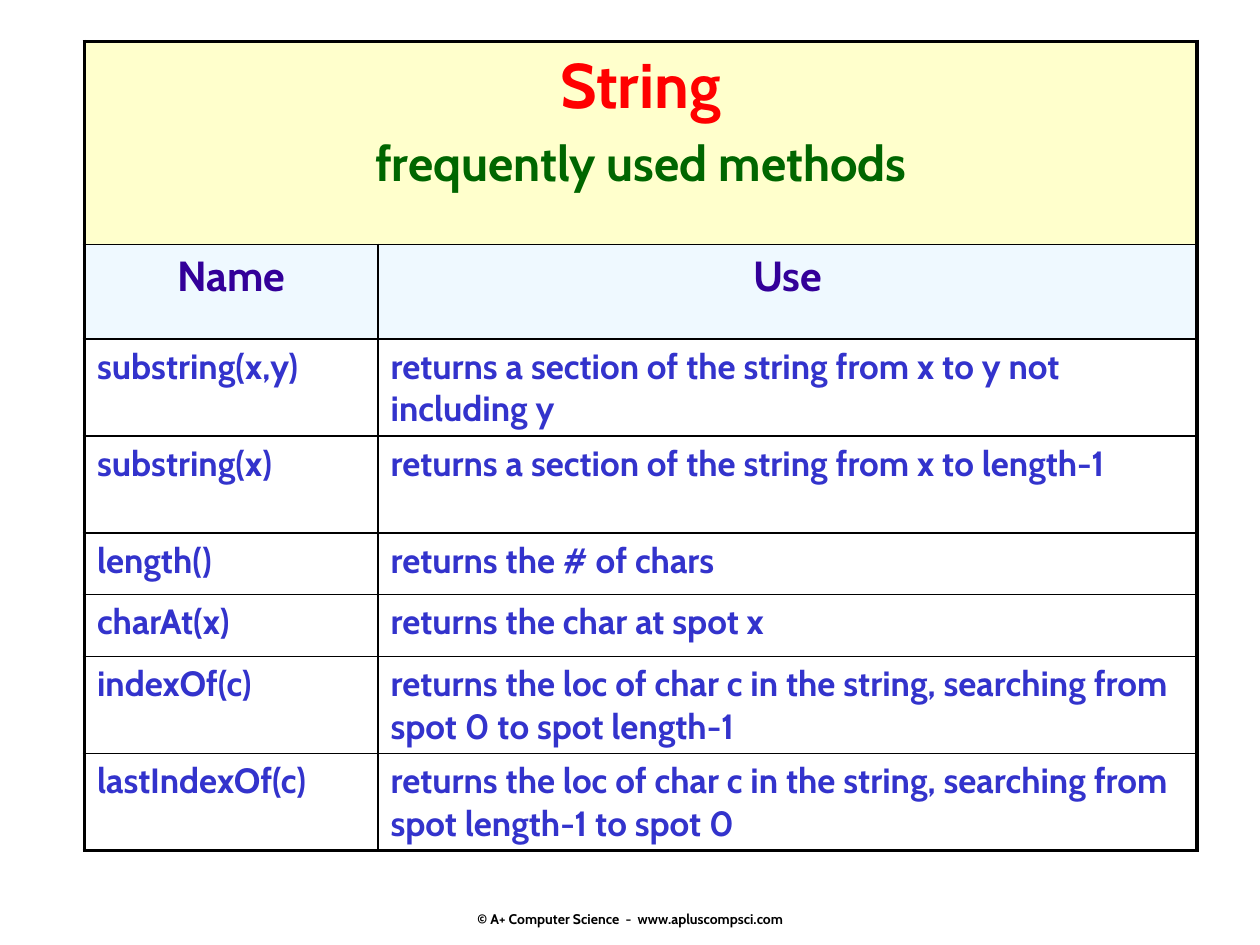
import pptx
import pptx.dml.color
import pptx.enum.text
import pptx.oxml.ns
import pptx.util
from lxml import etree
from pptx.util import Inches

RGBColor = pptx.dml.color.RGBColor
PP_ALIGN = pptx.enum.text.PP_ALIGN
MSO_ANCHOR = pptx.enum.text.MSO_ANCHOR
qn = pptx.oxml.ns.qn

FONT = "Cabin"
BLACK = RGBColor(0x00, 0x00, 0x00)
RED = RGBColor(0xFF, 0x00, 0x00)
GREEN = RGBColor(0x00, 0x66, 0x00)
PURPLE = RGBColor(0x33, 0x00, 0x99)
BLUE = RGBColor(0x33, 0x33, 0xCC)
CREAM = RGBColor(0xFF, 0xFF, 0xCC)
PALE_BLUE = RGBColor(0xE1, 0xF4, 0xFF)

COL_WIDTHS = [2.33, 6.5]
ROW_HEIGHTS = [1.61, 0.75, 0.77, 0.77, 0.49, 0.49, 0.77, 0.77]
INNER_LINE, OUTER_LINE = 1, 2.25
METHODS = [
    ("substring(x,y)", "returns a section of the string from x to y not including y"),
    ("substring(x)", "returns a section of the string from x to length-1"),
    ("length()", "returns the # of chars"),
    ("charAt(x)", "returns the char at spot x"),
    ("indexOf(c)", "returns the loc of char c in the string, searching from spot 0 to spot length-1"),
    ("lastIndexOf(c)", "returns the loc of char c in the string, searching from spot length-1 to spot 0"),
]


def write(p, text, size, color, align=PP_ALIGN.LEFT):
    p.alignment = align
    r = p.add_run()
    r.text = text
    r.font.name = FONT
    r.font.size = pptx.util.Pt(size)
    r.font.bold = True
    r.font.color.rgb = color


def set_border(cell, side, width):
    ln = etree.SubElement(cell._tc.get_or_add_tcPr(), qn("a:ln" + side),
                          w=str(pptx.util.Pt(width)))
    fill = etree.SubElement(ln, qn("a:solidFill"))
    etree.SubElement(fill, qn("a:srgbClr"), val=str(BLACK))


def set_fill(cell, color, opacity=100):
    cell.fill.solid()
    cell.fill.fore_color.rgb = color
    if opacity < 100:
        clr = cell._tc.tcPr.find(qn("a:solidFill")).find(qn("a:srgbClr"))
        etree.SubElement(clr, qn("a:alpha"), val=str(opacity * 1000))


def frame_cells(table):
    """Draw a thick line around the table and thin lines inside it."""
    last_row, last_col = len(ROW_HEIGHTS) - 1, len(COL_WIDTHS) - 1
    for row in range(last_row + 1):
        for col in range(last_col + 1):
            cell = table.cell(row, col)
            outer = {"L": col == 0, "R": col == last_col or row == 0,
                     "T": row == 0, "B": row == last_row}
            for side, is_outer in outer.items():
                set_border(cell, side, OUTER_LINE if is_outer else INNER_LINE)
            cell.fill.background()


def add_methods_table(slide, left, top, width, height):
    table = slide.shapes.add_table(len(ROW_HEIGHTS), len(COL_WIDTHS),
                                   left, top, width, height).table
    table.first_row = table.horz_banding = False
    for col, w in zip(table.columns, COL_WIDTHS):
        col.width = Inches(w)
    for row, h in zip(table.rows, ROW_HEIGHTS):
        row.height = Inches(h)
    frame_cells(table)

    heading = table.cell(0, 0)
    heading.merge(table.cell(0, 1))
    set_fill(heading, CREAM)
    tf = heading.text_frame
    write(tf.paragraphs[0], "String", 36, RED, PP_ALIGN.CENTER)
    p = tf.add_paragraph()
    p.space_before = pptx.util.Pt(5.6)
    write(p, "frequently used methods", 28, GREEN, PP_ALIGN.CENTER)

    for col, text in enumerate(("Name", "Use")):
        cell = table.cell(1, col)
        set_fill(cell, PALE_BLUE, 50)
        write(cell.text_frame.paragraphs[0], text, 24, PURPLE, PP_ALIGN.CENTER)

    for row, method in enumerate(METHODS, start=2):
        for col, text in enumerate(method):
            write(table.cell(row, col).text_frame.paragraphs[0], text, 20, BLUE)


def add_footer(slide, left, top, width, height):
    tf = slide.shapes.add_textbox(left, top, width, height).text_frame
    tf.word_wrap = False
    tf.vertical_anchor = MSO_ANCHOR.MIDDLE
    write(tf.paragraphs[0], "© A+ Computer Science  -  www.apluscompsci.com",
          8, BLACK, PP_ALIGN.CENTER)


def main():
    prs = pptx.Presentation()
    prs.slide_width, prs.slide_height = Inches(10), Inches(7.5)
    slide = prs.slides.add_slide(prs.slide_layouts[6])
    add_footer(slide, Inches(3.42), Inches(7.04), Inches(3.17), Inches(0.5))
    add_methods_table(slide, Inches(0.67), Inches(0.33),
                      Inches(sum(COL_WIDTHS)), Inches(sum(ROW_HEIGHTS)))
    prs.save("out.pptx")


if __name__ == "__main__":
    main()
